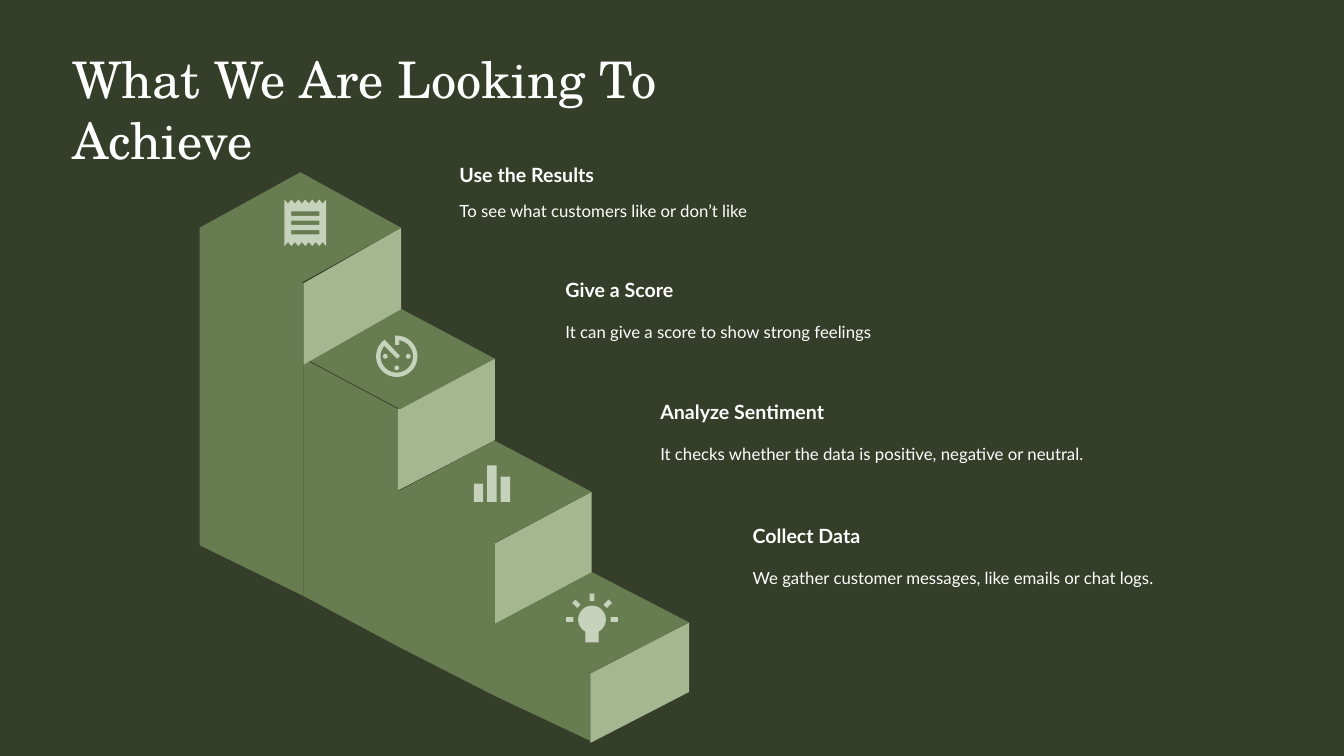
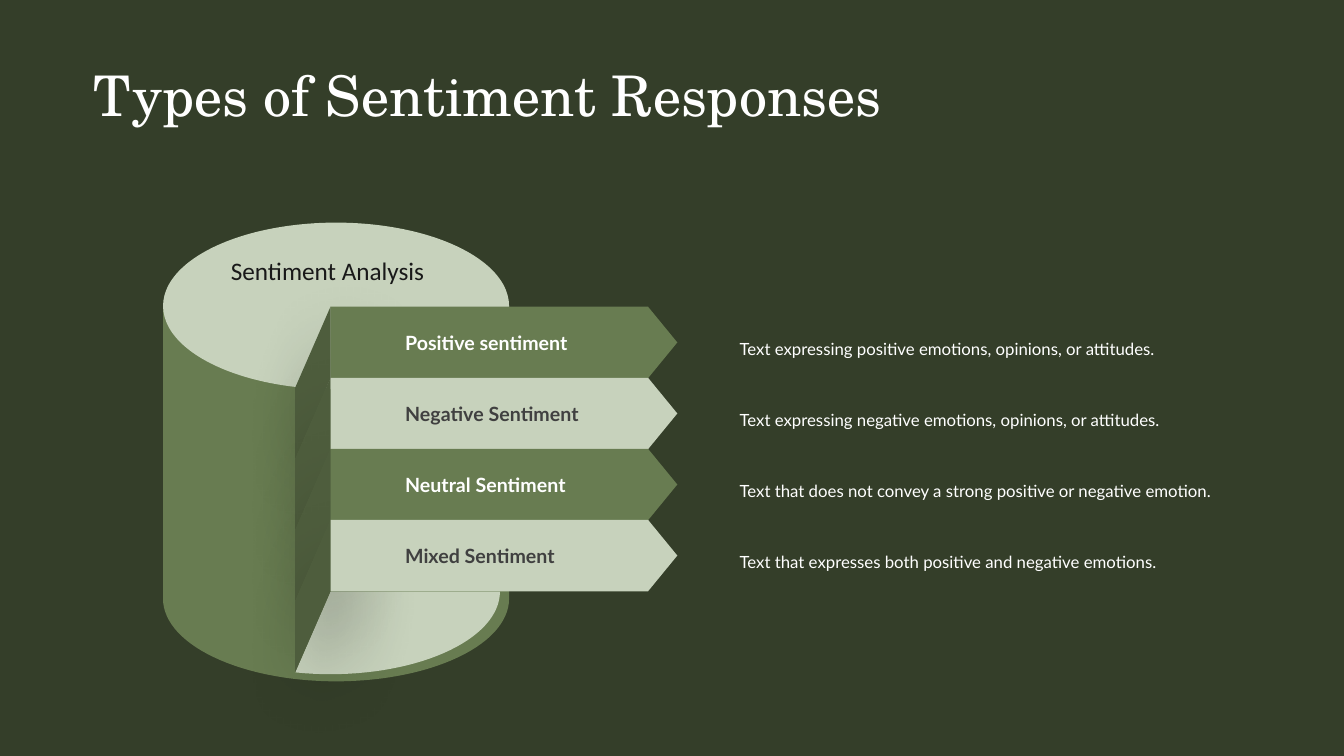
from dataclasses import dataclass
from math import cos, radians, sin

from lxml.etree import SubElement
from pptx import Presentation
from pptx.dml.color import RGBColor
from pptx.enum.shapes import MSO_SHAPE as Preset
from pptx.enum.text import MSO_ANCHOR as Anchor
from pptx.oxml.ns import qn
from pptx.util import Cm, Pt


@dataclass(frozen=True)
class Theme:
    background: str = "343E29"
    leaf: str = "687C51"
    riser: str = "A5B790"
    pale: str = "C7D2BC"
    fold: str = "4E5D3D"
    white: str = "FFFFFF"
    dark: str = "404040"
    black: str = "191919"
    title_font: str = "TeX Gyre Schola"
    body_font: str = "Lato"
    label_font: str = "Calibri"
    heading_size: int = 14
    body_size: int = 12
    label_size: int = 18


theme = Theme()


def draw_shape(page, fill, outlines=(), preset=None, box=()):
    """Draw a preset in box, or closed outlines of (x, y) points; all in cm."""
    if preset is not None:
        shape = page.shapes.add_shape(preset, *map(Cm, box))
    else:
        first, *others = [[(Cm(x), Cm(y)) for x, y in line] for line in outlines]
        builder = page.shapes.build_freeform(*first[0])
        builder.add_line_segments(first[1:])
        for outline in others:
            builder.move_to(*outline[0])
            builder.add_line_segments(outline[1:])
        shape = builder.convert_to_shape()
    shape.fill.solid()
    shape.fill.fore_color.rgb = RGBColor.from_string(fill)
    shape.line.fill.background()
    shape.shadow.inherit = False
    return shape


def write_text(page, box, text, size, font=theme.body_font, colour=theme.white,
               bold=False, spacing=None, anchor=Anchor.TOP):
    """Add a text box without insets; box is left, top, width, height in cm."""
    frame = page.shapes.add_textbox(*map(Cm, box)).text_frame
    frame.word_wrap = True
    frame.vertical_anchor = anchor
    frame.margin_left = frame.margin_right = 0
    frame.margin_top = frame.margin_bottom = 0
    para = frame.paragraphs[0]
    para.text = text
    para.line_spacing = spacing
    para.font.name, para.font.size, para.font.bold = font, Pt(size), bold
    para.font.color.rgb = RGBColor.from_string(colour)


deck = Presentation()
deck.slide_width, deck.slide_height = Cm(33.87), Cm(19.05)

titles = [
    ("What We Are Looking To Achieve", (1.83, 1.22, 19.5, 1.55), 36, None, Anchor.TOP),
    ("Types of Sentiment Responses", (2.36, 1.65, 25.65, 1.57), 40, Pt(44), Anchor.MIDDLE),
]
pages = []
for title, box, size, spacing, anchor in titles:
    page = deck.slides.add_slide(deck.slide_layouts[6])
    page.background.fill.solid()
    page.background.fill.fore_color.rgb = RGBColor.from_string(theme.background)
    write_text(page, box, title, size, theme.title_font, spacing=spacing, anchor=anchor)
    pages.append(page)
stairs_page, types_page = pages

# Staircase: tread left, right, top and bottom, then the drop of its riser
treads = [
    (5.03, 10.11, 4.34, 7.14, 2.05),
    (7.70, 12.47, 7.77, 10.31, 2.05),
    (10.01, 14.91, 11.10, 13.69, 2.02),
    (12.40, 17.37, 14.40, 16.97, 1.75),
]
corners = [(5.03, 13.74), (7.65, 15.02), (10.03, 16.29), (12.48, 17.54), (14.88, 18.67)]
steps = list(zip(treads, corners, corners[1:]))
for (left, right, top, bottom, drop), start, end in reversed(steps):
    centre, middle = (left + right) / 2, (top + bottom) / 2
    edge = end[0]
    side = [start, (start[0], middle), (edge, bottom), end]
    riser = [(edge, bottom), (right, middle), (right, middle + drop), (edge, bottom + drop)]
    tread = [(left, middle), (centre, top), (right, middle), (centre, bottom)]
    for outline, fill in ((side, theme.leaf), (riser, theme.riser), (tread, theme.leaf)):
        draw_shape(stairs_page, fill, [outline])

# Receipt icon
left, top, width, bottom = 7.17, 5.03, 1.05, 6.20
teeth = [(left + width * i / 12, 0.1 * (i % 2)) for i in range(13)]
receipt = [(x, top + depth) for x, depth in teeth]
receipt += [(x, bottom - depth) for x, depth in reversed(teeth)]
slots = [
    [(7.34, y), (7.34, y + 0.11), (8.05, y + 0.11), (8.05, y)]
    for y in (5.33, 5.56, 5.80)
]
draw_shape(stairs_page, theme.pale, [receipt, *slots])

# Timer icon
x, y = 10.0, 8.98
outer = [(x + 0.52 * cos(radians(a)), y + 0.52 * sin(radians(a))) for a in range(-90, 235, 6)]
inner = [(x + 0.41 * cos(radians(a)), y + 0.41 * sin(radians(a))) for a in range(219, -83, -7)]
hand = [(10.08, 8.97), (10.01, 9.04), (9.68, 8.71)]
notch = [(10.06, 8.69), (9.96, 8.69), (9.96, 8.46)]
draw_shape(stairs_page, theme.pale, [outer + hand + inner + notch])
for dx, dy in ((-0.29, 0), (0.29, 0), (0, 0.29)):
    box = (x + dx - 0.06, y + dy - 0.06, 0.12, 0.12)
    draw_shape(stairs_page, theme.pale, preset=Preset.OVAL, box=box)

# Bar chart icon
for i, height in enumerate((0.46, 0.92, 0.64)):
    box = (11.94 + 0.34 * i, 12.65 - height, 0.24, height)
    draw_shape(stairs_page, theme.pale, preset=Preset.RECTANGLE, box=box)

# Light bulb icon
x, y = 14.92, 15.61
draw_shape(stairs_page, theme.pale, preset=Preset.OVAL, box=(x - 0.35, y - 0.35, 0.7, 0.7))
draw_shape(stairs_page, theme.pale, preset=Preset.RECTANGLE, box=(x - 0.17, y + 0.2, 0.34, 0.38))
for angle in range(180, 361, 45):
    ray_x, ray_y = x + 0.56 * cos(radians(angle)), y + 0.56 * sin(radians(angle))
    box = (ray_x - 0.09, ray_y - 0.06, 0.18, 0.12)
    ray = draw_shape(stairs_page, theme.pale, preset=Preset.RECTANGLE, box=box)
    ray.rotation = angle % 180

captions = [
    (11.58, 4.11, 4.80, "Use the Results", "To see what customers like or don’t like"),
    (14.25, 7.01, 7.85, "Give a Score", "It can give a score to show strong feelings"),
    (16.64, 10.08, 10.92, "Analyze Sentiment",
     "It checks whether the data is positive, negative or neutral."),
    (18.97, 13.21, 14.05, "Collect Data",
     "We gather customer messages, like emails or chat logs."),
]
for left, heading_top, body_top, heading, body in captions:
    write_text(stairs_page, (left, heading_top, 6, 0.6), heading, theme.heading_size, bold=True)
    write_text(stairs_page, (left, body_top, 12, 0.67), body, theme.body_size, spacing=1.5)

# Cylinder with a cut-out
x, top, base = 8.47, 7.71, 15.09
rim = [(x + 4.36 * cos(radians(a)), base + 2.08 * sin(radians(a))) for a in range(0, 181, 3)]
draw_shape(types_page, theme.leaf, [[(x + 4.36, top), *rim, (x - 4.36, top)]])
draw_shape(types_page, theme.pale, preset=Preset.OVAL, box=(x - 4.36, top - 2.1, 8.72, 4.2))
floor = [(8.33 + 4.27 * cos(radians(a)), 14.91 + 2.08 * sin(radians(a))) for a in range(0, 103, 3)]
draw_shape(types_page, theme.pale, [[(8.33, 14.91), *floor]])
write_text(types_page, (5.82, 6.43, 6.07, 1.2), "Sentiment Analysis", theme.label_size,
           theme.label_font, theme.black)

band_left, band_height = 8.33, 1.8
responses = [
    ("Positive sentiment", "Text expressing positive emotions, opinions, or attitudes."),
    ("Negative Sentiment", "Text expressing negative emotions, opinions, or attitudes."),
    ("Neutral Sentiment", "Text that does not convey a strong positive or negative emotion."),
    ("Mixed Sentiment", "Text that expresses both positive and negative emotions."),
]
band_tops = [7.73 + 1.79 * i for i in range(len(responses))]

for top in band_tops:
    slant = top + 2.04
    fold = draw_shape(types_page, theme.fold, [[
        (band_left, top), (7.44, slant),
        (7.44, slant + band_height), (band_left, top + band_height),
    ]])
    effects = fold._element.spPr.find(qn("a:effectLst"))
    shadow = SubElement(effects, qn("a:outerShdw"), blurRad=str(Pt(52)), dist=str(Pt(20)),
                        dir=str(45 * 60000), algn="tl", rotWithShape="0")
    shade = SubElement(shadow, qn("a:srgbClr"), val="000000")
    SubElement(shade, qn("a:alpha"), val="40000")

band_styles = [(theme.leaf, theme.white), (theme.pale, theme.dark)]
for i, (top, (name, meaning)) in enumerate(zip(band_tops, responses)):
    fill, ink = band_styles[i % 2]
    band = draw_shape(types_page, fill, preset=Preset.PENTAGON,
                      box=(band_left, top, 8.74, band_height))
    band.adjustments[0] = 0.41
    write_text(types_page, (10.21, top, 5, band_height), name, theme.heading_size,
               colour=ink, bold=True, anchor=Anchor.MIDDLE)
    write_text(types_page, (18.64, top + 0.55, 12.5, 0.67), meaning, theme.body_size, spacing=1.5)

deck.save("out.pptx")
